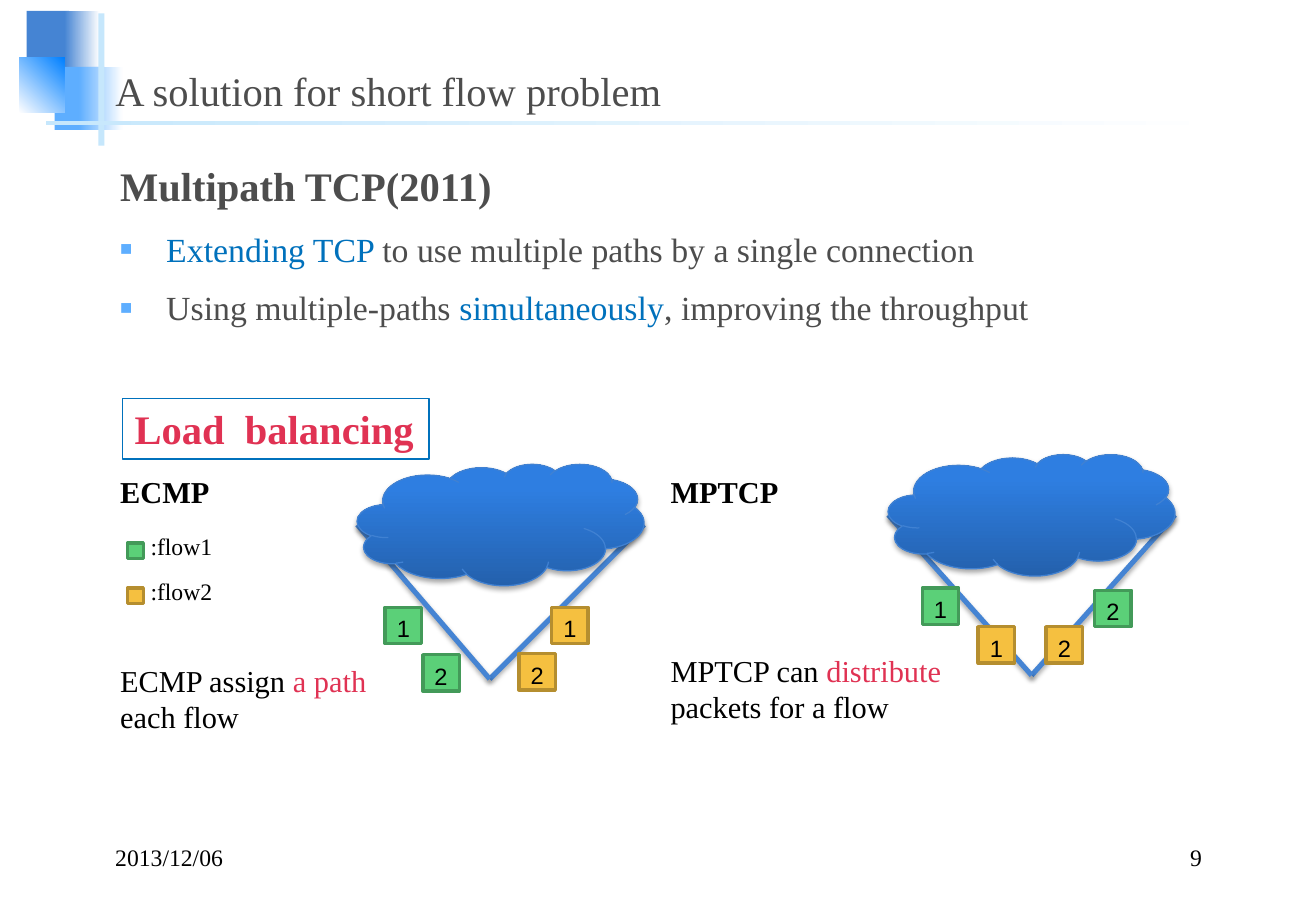
import dataclasses
import lxml.etree
import pptx
import pptx.dml.color
import pptx.enum.shapes
import pptx.enum.text
import pptx.oxml.ns
import pptx.util

Inches = pptx.util.Inches
Pt = pptx.util.Pt
Shape = pptx.enum.shapes.MSO_SHAPE
Align = pptx.enum.text.PP_ALIGN
Anchor = pptx.enum.text.MSO_ANCHOR
qn = pptx.oxml.ns.qn


@dataclasses.dataclass(frozen=True)
class Theme:
    serif: str = "Times New Roman"
    sans: str = "Arial"
    head: int = 24
    body: int = 20
    label: int = 18
    small: int = 14
    white: str = "FFFFFF"
    black: str = "000000"
    grey: str = "4D4D4D"
    blue: str = "0071BC"
    red: str = "E03253"
    steel: str = "4584D3"
    sky: str = "5EAEFF"
    azure: str = "0080FF"
    pale: str = "C6E7FC"
    deep: str = "2461AD"
    bright: str = "2E7EE1"
    rim: str = "4081D2"
    green: tuple = ("5BD078", "439A59")
    gold: tuple = ("F5C040", "B58E2F")


def rgb(code):
    return pptx.dml.color.RGBColor.from_string(code)


def node(parent, tag, **attrs):
    return lxml.etree.SubElement(parent, qn(tag), {key: str(val) for key, val in attrs.items()})


class Deck:
    def __init__(self, theme):
        self.theme = theme
        self.prs = pptx.Presentation()
        self.prs.slide_width = Inches(10.83)
        self.prs.slide_height = Inches(7.5)
        self.slide = self.prs.slides.add_slide(self.prs.slide_layouts[5])

    def style(self, para, parts, size, color=None, bold=False, font=None, align=Align.LEFT):
        para.alignment = align
        para.font.name = font or self.theme.serif
        para.font.size = Pt(size)
        para.font.bold = bold
        para.font.color.rgb = rgb(color or self.theme.black)
        for part in parts:
            text, tint = part if isinstance(part, tuple) else (part, None)
            run = para.add_run()
            run.text = text
            if tint:
                run.font.color.rgb = rgb(tint)

    def title(self, text):
        box = self.slide.shapes.title
        self.slide.shapes[-1].element.addnext(box.element)
        box.left, box.top, box.width, box.height = map(Inches, (0.85, 0.36, 9.29, 0.63))
        frame = box.text_frame
        frame.auto_size = pptx.enum.text.MSO_AUTO_SIZE.NONE
        frame.vertical_anchor = Anchor.BOTTOM
        self.style(frame.paragraphs[0], [text], self.theme.head, self.theme.grey)

    def text(self, place, parts, size, wrap=True, anchor=Anchor.TOP, **style):
        box = self.slide.shapes.add_textbox(*map(Inches, place))
        box.text_frame.word_wrap = wrap
        box.text_frame.vertical_anchor = anchor
        self.style(box.text_frame.paragraphs[0], parts, size, **style)
        return box

    def bullet(self, frame, parts):
        para = frame.add_paragraph()
        props = para._p.get_or_add_pPr()
        props.set("marL", str(Inches(0.38)))
        props.set("indent", str(-Inches(0.38)))
        node(node(props, "a:buClr"), "a:srgbClr", val=self.theme.sky)
        node(props, "a:buSzPct", val=60000)
        node(props, "a:buFont", typeface=self.theme.sans)
        node(props, "a:buChar", char="■")
        para.line_spacing = 1.2
        para.space_before = Pt(6)
        self.style(para, parts, self.theme.body, self.theme.grey)

    def shape(self, place, fill, end=None, angle=0, line=None, width=1, kind=Shape.RECTANGLE):
        item = self.slide.shapes.add_shape(kind, *map(Inches, place))
        item.shadow.inherit = False
        if end:
            item.fill.gradient()
            item.fill.gradient_angle = angle
            for stop, color in zip(item.fill.gradient_stops, (fill, end)):
                stop.color.rgb = rgb(color)
        else:
            item.fill.solid()
            item.fill.fore_color.rgb = rgb(fill)
        if line:
            item.line.color.rgb = rgb(line)
            item.line.width = Pt(width)
        else:
            item.line.fill.background()
        return item

    def shade(self, effects):
        glow = node(effects, "a:outerShdw", blurRad=Pt(3.1), dist=Pt(1.8),
                    dir=5400000, rotWithShape=0)
        color = node(glow, "a:srgbClr", val=self.theme.black)
        node(color, "a:alpha", val=35000)

    def link(self, start, end):
        line = self.slide.shapes.add_connector(
            pptx.enum.shapes.MSO_CONNECTOR.STRAIGHT, *map(Inches, start + end))
        line.line.color.rgb = rgb(self.theme.steel)
        line.line.width = Pt(3)
        self.shade(node(line._element.spPr, "a:effectLst"))

    def cloud(self, left, top, fork):
        look = self.theme
        for side in (left + 2.36, left):
            self.link(fork, (side, top + 0.5))
        item = self.shape((left, top, 2.36, 1), look.deep, look.bright, 90,
                          look.rim, 0.75, Shape.CLOUD)
        item.fill.gradient_stops[1].position = 0.8
        self.shade(item._element.spPr.find(qn("a:effectLst")))

    def packet(self, left, top, tone, mark=None, side=0.3):
        fill, line = tone
        item = self.shape((left, top, side, side), fill, line=line, width=2)
        if mark:
            frame = item.text_frame
            frame.margin_left = frame.margin_right = 0
            frame.margin_top, frame.margin_bottom = Inches(0.05), 0
            frame.vertical_anchor = Anchor.MIDDLE
            self.style(frame.paragraphs[0], [mark], self.theme.small,
                       font=self.theme.sans, align=Align.CENTER)


def main():
    look = Theme()
    deck = Deck(look)

    for place, *fill in (
        ((0.22, 0.09, 0.35, 0.52), look.steel),
        ((0.53, 0.09, 0.29, 0.52), look.steel, look.white),
        ((0.45, 0.55, 0.41, 0.52), look.sky),
        ((0.65, 0.55, 0.36, 0.52), look.sky, look.white),
        ((0.16, 0.47, 0.37, 0.46), look.white, look.azure, 45),
        ((0.81, 0.11, 0.05, 1.09), look.pale),
        ((0.38, 1, 9.75, 0.03), look.pale, look.white),
    ):
        deck.shape(place, *fill)
    deck.title("A solution for short flow problem")

    body = deck.text((0.89, 1.2, 9.06, 2.05), ["Multipath TCP(2011)"], look.head,
                     color=look.grey, bold=True).text_frame
    body.paragraphs[0].line_spacing = 1.2
    deck.bullet(body, [("Extending TCP ", look.blue),
                       "to use multiple paths by a single connection"])
    deck.bullet(body, ["Using multiple-paths ", ("simultaneously", look.blue),
                       ", improving the throughput"])

    deck.text((0.85, 6.9, 2.26, 0.32), ["2013/12/06"], look.small, anchor=Anchor.BOTTOM)
    deck.text((7.73, 6.9, 2.26, 0.32), ["9"], look.small, anchor=Anchor.BOTTOM,
              align=Align.RIGHT)

    deck.cloud(2.94, 3.82, (4.03, 5.59))
    deck.cloud(7.31, 3.74, (8.49, 5.56))

    for left, top, tone, mark in (
        (3.17, 5, look.green, "1"),
        (3.48, 5.39, look.green, "2"),
        (4.54, 5, look.gold, "1"),
        (4.27, 5.38, look.gold, "2"),
        (7.59, 4.84, look.green, "1"),
        (9.01, 4.86, look.green, "2"),
        (8.05, 5.16, look.gold, "1"),
        (8.61, 5.16, look.gold, "2"),
    ):
        deck.packet(left, top, tone, mark)

    for top, tone, name in ((4.47, look.green, ":flow1"), (4.84, look.gold, ":flow2")):
        deck.packet(1.05, top, tone, side=0.13)
        deck.text((1.14, top - 0.14, 0.71, 0.34), [name], look.small, wrap=False)

    for left, width, name in ((0.89, 0.95, "ECMP"), (5.42, 1.1, "MPTCP")):
        deck.text((left, 3.85, width, 0.4), [name], look.label, wrap=False, bold=True)

    deck.text((0.89, 5.4, 2.59, 0.71),
              ["ECMP assign ", ("a path", look.red), " each flow"], look.label)
    deck.text((5.42, 5.32, 2.48, 0.71),
              ["MPTCP can ", ("distribute", look.red), " packets for a flow"], look.label)

    badge = deck.shape((1.01, 3.28, 2.52, 0.5), look.white, line=look.blue, width=0.75)
    badge.text_frame.word_wrap = False
    deck.style(badge.text_frame.paragraphs[0], ["Load  balancing"], look.head,
               look.red, bold=True)

    deck.prs.save("out.pptx")


if __name__ == "__main__":
    main()
